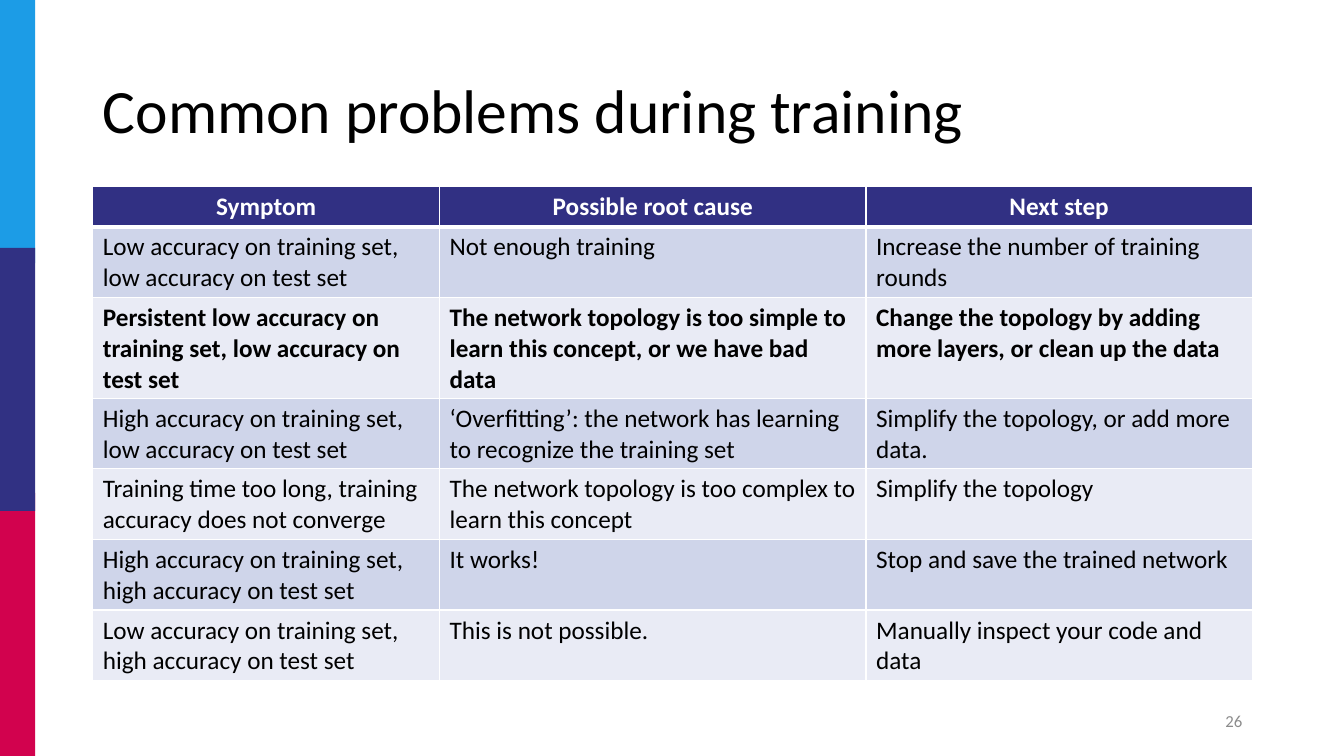
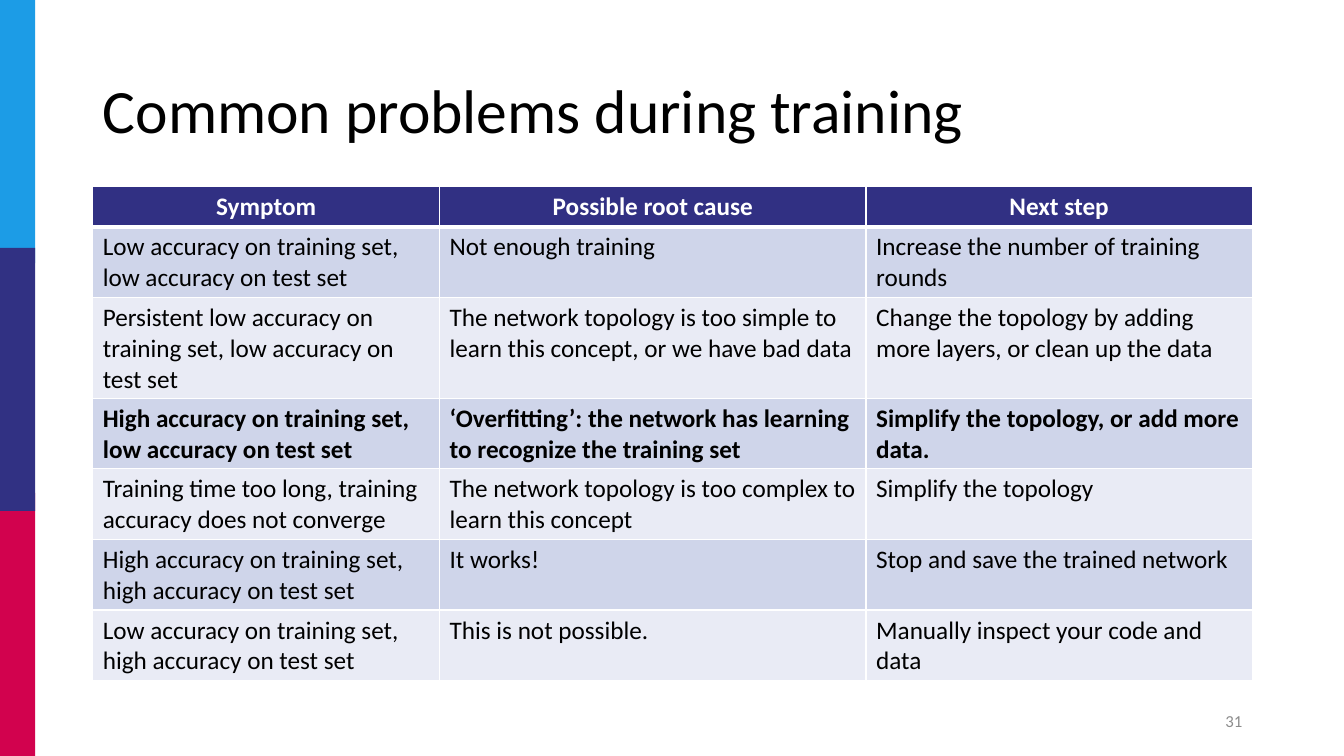
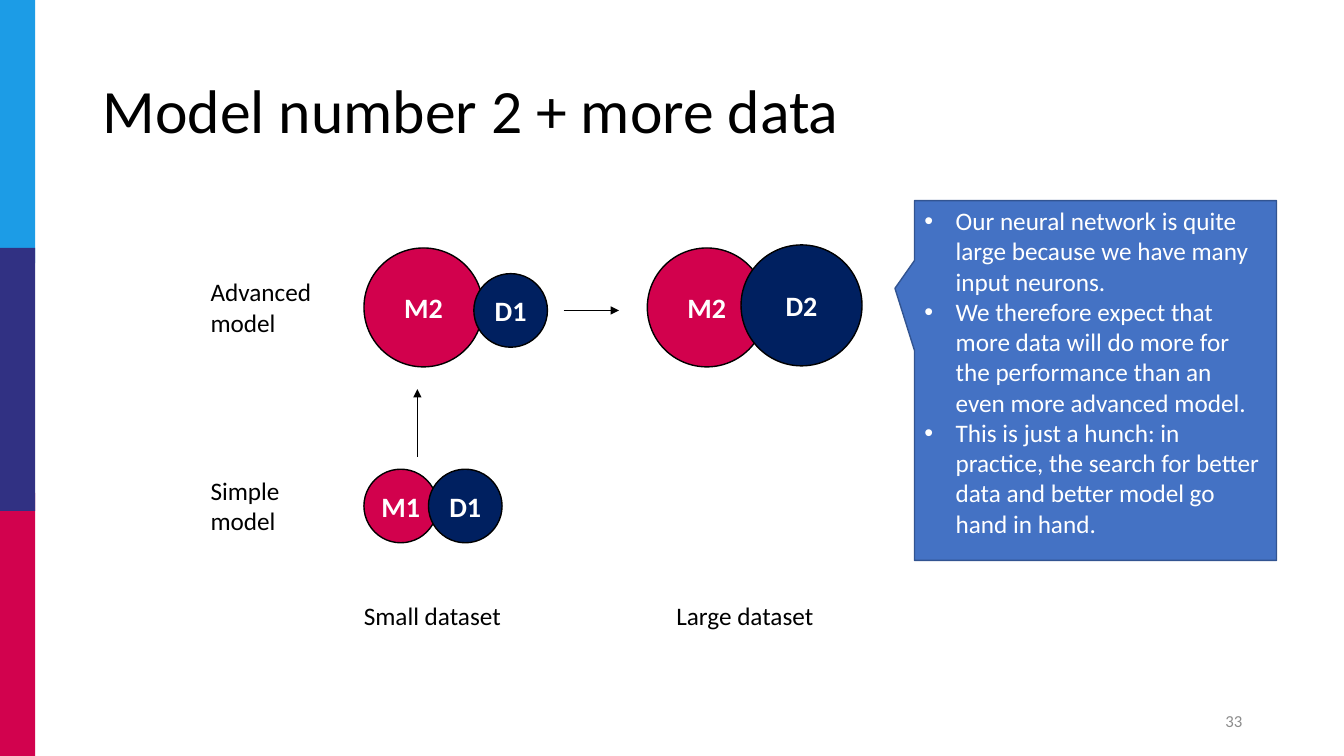
"""Build three slides on training problems and on choosing between a better model and more data."""
from lxml.etree import SubElement
from pptx import Presentation
from pptx.dml.color import RGBColor
from pptx.enum.shapes import MSO_CONNECTOR, MSO_SHAPE
from pptx.enum.text import MSO_ANCHOR, MSO_AUTO_SIZE, PP_ALIGN
from pptx.oxml.ns import qn
from pptx.util import Inches, Pt

FONT = "Calibri"
WIDTH, HEIGHT = 13.33, 7.5
MARGIN, CONTENT_WIDTH = 0.92, 11.5
BAND_WIDTH, BAND_HEIGHT = 0.35, 2.61
TITLE_ONLY = 5
COLORS = {
    "sky": "1C9CE6", "indigo": "313183", "crimson": "D2024E",
    "header": "313083", "stripe_dark": "CFD5EA", "stripe_light": "E9EBF5",
    "model": "D2014D", "data": "002060",
    "callout": "4472C4", "callout_line": "325491",
    "black": "000000", "white": "FFFFFF", "gray": "8C8C8C",
}
COLUMNS = {"label": 1.99, "small": 3.61, "large": 6.42}
ROWS = {"advanced": 3.05, "simple": 5.02, "axis": 6.11}
SMALL, LARGE = 0.73, 1.18

PROBLEM_COLUMNS = (3.44, 4.23, 3.83)
PROBLEM_HEADER_HEIGHT, PROBLEM_ROW_HEIGHT = 0.35, 0.67
PROBLEMS = (
    ("Symptom", "Possible root cause", "Next step"),
    ("Low accuracy on training set, low accuracy on test set",
     "Not enough training",
     "Increase the number of training rounds"),
    ("Persistent low accuracy on training set, low accuracy on test set",
     "The network topology is too simple to learn this concept, or we have bad data",
     "Change the topology by adding more layers, or clean up the data"),
    ("High accuracy on training set, low accuracy on test set",
     "‘Overfitting’: the network has learning to recognize the training set",
     "Simplify the topology, or add more data."),
    ("Training time too long, training accuracy does not converge",
     "The network topology is too complex to learn this concept",
     "Simplify the topology"),
    ("High accuracy on training set, high accuracy on test set",
     "It works!",
     "Stop and save the trained network"),
    ("Low accuracy on training set, high accuracy on test set",
     "This is not possible.",
     "Manually inspect your code and data"),
)
REASONS = (
    "Our neural network is quite large because we have many input neurons.",
    "We therefore expect that more data will do more for the performance "
    "than an even more advanced model.",
    "This is just a hunch: in practice, the search for better data and better model go "
    "hand in hand.",
)


def rgb(name):
    """Return the named palette colour."""
    return RGBColor.from_string(COLORS[name])


def style(para, size, color, bold=False, align=PP_ALIGN.LEFT):
    """Set the font and alignment of a paragraph."""
    para.alignment = align
    para.font.name = FONT
    para.font.size = Pt(size)
    para.font.bold = bold
    para.font.color.rgb = rgb(color)


def add_box(page, kind, place, fill, line=None):
    """Add a filled preset shape, outlined if a line colour is given."""
    box = page.shapes.add_shape(kind, *map(Inches, place))
    box.shadow.inherit = False
    box.fill.solid()
    box.fill.fore_color.rgb = rgb(fill)
    if line:
        box.line.color.rgb = rgb(line)
        box.line.width = Pt(1)
    else:
        box.line.fill.background()
    return box


def add_label(page, text, place, size=18, color="black", align=PP_ALIGN.LEFT,
              anchor=MSO_ANCHOR.TOP):
    """Add a wrapping text box with one paragraph."""
    frame = page.shapes.add_textbox(*map(Inches, place)).text_frame
    frame.word_wrap = True
    frame.vertical_anchor = anchor
    frame.text = text
    style(frame.paragraphs[0], size, color, align=align)


def add_bands(page):
    """Place the coloured side bands on the layout that the page uses."""
    bottom = HEIGHT - BAND_HEIGHT
    tree = page.slide_layout.shapes.element
    for position, (color, top) in enumerate(
            (("sky", 0), ("crimson", bottom), ("indigo", 2.46)), start=2):
        place = (0, top, BAND_WIDTH, BAND_HEIGHT)
        band = add_box(page, MSO_SHAPE.RECTANGLE, place, color)
        tree.insert(position, band.element)


def add_page(deck, title, number):
    """Add a slide with its title and page number."""
    page = deck.slides.add_slide(deck.slide_layouts[TITLE_ONLY])
    box = page.shapes.title
    box.left, box.top, box.width, box.height = map(
        Inches, (MARGIN, 0.4, CONTENT_WIDTH, 1.45))
    frame = box.text_frame
    frame.text = title
    frame.word_wrap = True
    frame.auto_size = MSO_AUTO_SIZE.NONE
    frame.vertical_anchor = MSO_ANCHOR.MIDDLE
    frame.paragraphs[0].line_spacing = 0.9
    style(frame.paragraphs[0], 44, "black")
    add_label(page, str(number), (MARGIN + CONTENT_WIDTH - 3, 6.95, 3, 0.4), 12, "gray",
              PP_ALIGN.RIGHT, MSO_ANCHOR.MIDDLE)
    return page


def add_borders(cell, bottom):
    """Draw white borders around a cell with the given bottom width."""
    properties = cell._tc.get_or_add_tcPr()
    for side, points in (("L", 1), ("R", 1), ("T", 1), ("B", bottom)):
        line = SubElement(properties, qn(f"a:ln{side}"), w=str(Pt(points)))
        fill = SubElement(line, qn("a:solidFill"))
        SubElement(fill, qn("a:srgbClr"), val=COLORS["white"])


def add_problem_table(page, emphasized):
    """Add the table of problems with one row in bold."""
    height = PROBLEM_HEADER_HEIGHT + PROBLEM_ROW_HEIGHT * (len(PROBLEMS) - 1)
    place = map(Inches, (MARGIN, 1.85, CONTENT_WIDTH, height))
    table = page.shapes.add_table(len(PROBLEMS), len(PROBLEM_COLUMNS), *place).table
    for column, width in zip(table.columns, PROBLEM_COLUMNS):
        column.width = Inches(width)
    for index, texts in enumerate(PROBLEMS):
        header = index == 0
        table.rows[index].height = Inches(
            PROBLEM_HEADER_HEIGHT if header else PROBLEM_ROW_HEIGHT)
        stripe = "stripe_dark" if index % 2 else "stripe_light"
        for cell, text in zip(table.rows[index].cells, texts):
            cell.text = text
            add_borders(cell, 3 if header else 1)
            cell.fill.solid()
            cell.fill.fore_color.rgb = rgb("header" if header else stripe)
            style(cell.text_frame.paragraphs[0], 18, "white" if header else "black",
                  header or index == emphasized,
                  PP_ALIGN.CENTER if header else PP_ALIGN.LEFT)


def add_circle(page, text, left, middle, size, fill):
    """Add a labelled circle centred vertically on a row."""
    circle = add_box(page, MSO_SHAPE.OVAL, (left, middle - size / 2, size, size), fill, "black")
    frame = circle.text_frame
    frame.margin_left = frame.margin_right = Inches(0.04)
    frame.margin_top = frame.margin_bottom = Inches(0.04)
    frame.vertical_anchor = MSO_ANCHOR.MIDDLE
    frame.text = text
    style(frame.paragraphs[0], 20, "white", True, PP_ALIGN.CENTER)


def add_arrow(page, start, end):
    """Add a thin arrow from start to end."""
    arrow = page.shapes.add_connector(MSO_CONNECTOR.STRAIGHT, *map(Inches, start + end))
    arrow.line.color.rgb = rgb("black")
    arrow.line.width = Pt(0.5)
    SubElement(arrow.line._get_or_add_ln(), qn("a:tailEnd"), type="triangle")
    SubElement(arrow._element.spPr, qn("a:effectLst"))


def add_callout(page, texts, place):
    """Add a callout with a bulleted list, pointing left."""
    box = add_box(page, MSO_SHAPE.RECTANGULAR_CALLOUT, place, "callout", "callout_line")
    box.adjustments[0], box.adjustments[1] = -0.554, -0.256
    frame = box.text_frame
    frame.word_wrap = True
    frame.vertical_anchor = MSO_ANCHOR.TOP
    frame.text = "\n".join(texts)
    indent = Inches(0.31)
    for para in frame.paragraphs:
        properties = para._p.get_or_add_pPr()
        properties.set("marL", str(indent))
        properties.set("indent", str(-indent))
        SubElement(properties, qn("a:buFont"), typeface="Arial")
        SubElement(properties, qn("a:buChar"), char="•")
        style(para, 18, "white")


def add_model_diagram(page):
    """Draw the models and datasets with the path between them."""
    small, large = COLUMNS["small"], COLUMNS["large"]
    advanced, simple = ROWS["advanced"], ROWS["simple"]
    for circle in (
        ("M1", small, simple, SMALL, "model"),
        ("D1", small + 0.64, simple, SMALL, "data"),
        ("M2", small, advanced, LARGE, "model"),
        ("D1", small + 1.09, advanced + 0.03, SMALL, "data"),
        ("M2", large, advanced, LARGE, "model"),
        ("D2", large + 0.93, advanced - 0.02, 1.2, "data"),
    ):
        add_circle(page, *circle)
    for text, left, middle, width, height in (
        ("Small dataset", small - 0.1, ROWS["axis"], 1.63, 0.4),
        ("Large dataset", large + 0.19, ROWS["axis"], 1.73, 0.4),
        ("Simple model", COLUMNS["label"], simple, 1.3, 0.71),
        ("Advanced model", COLUMNS["label"], advanced, 1.3, 0.71),
    ):
        add_label(page, text, (left, middle - height / 2, width, height))
    add_arrow(page, (4.14, 4.53), (4.14, 3.86))
    add_arrow(page, (5.59, advanced + 0.03), (6.14, advanced + 0.03))


def main():
    """Build and save the deck."""
    deck = Presentation()
    deck.slide_width, deck.slide_height = Inches(WIDTH), Inches(HEIGHT)
    for number, emphasized in ((26, 2), (31, 3)):
        page = add_page(deck, "Common problems during training", number)
        add_problem_table(page, emphasized)
    page = add_page(deck, "Model number 2 + more data", 33)
    add_model_diagram(page)
    add_callout(page, REASONS, (9.07, 1.99, 3.59, 3.57))
    add_bands(page)
    deck.save("out.pptx")


if __name__ == "__main__":
    main()
